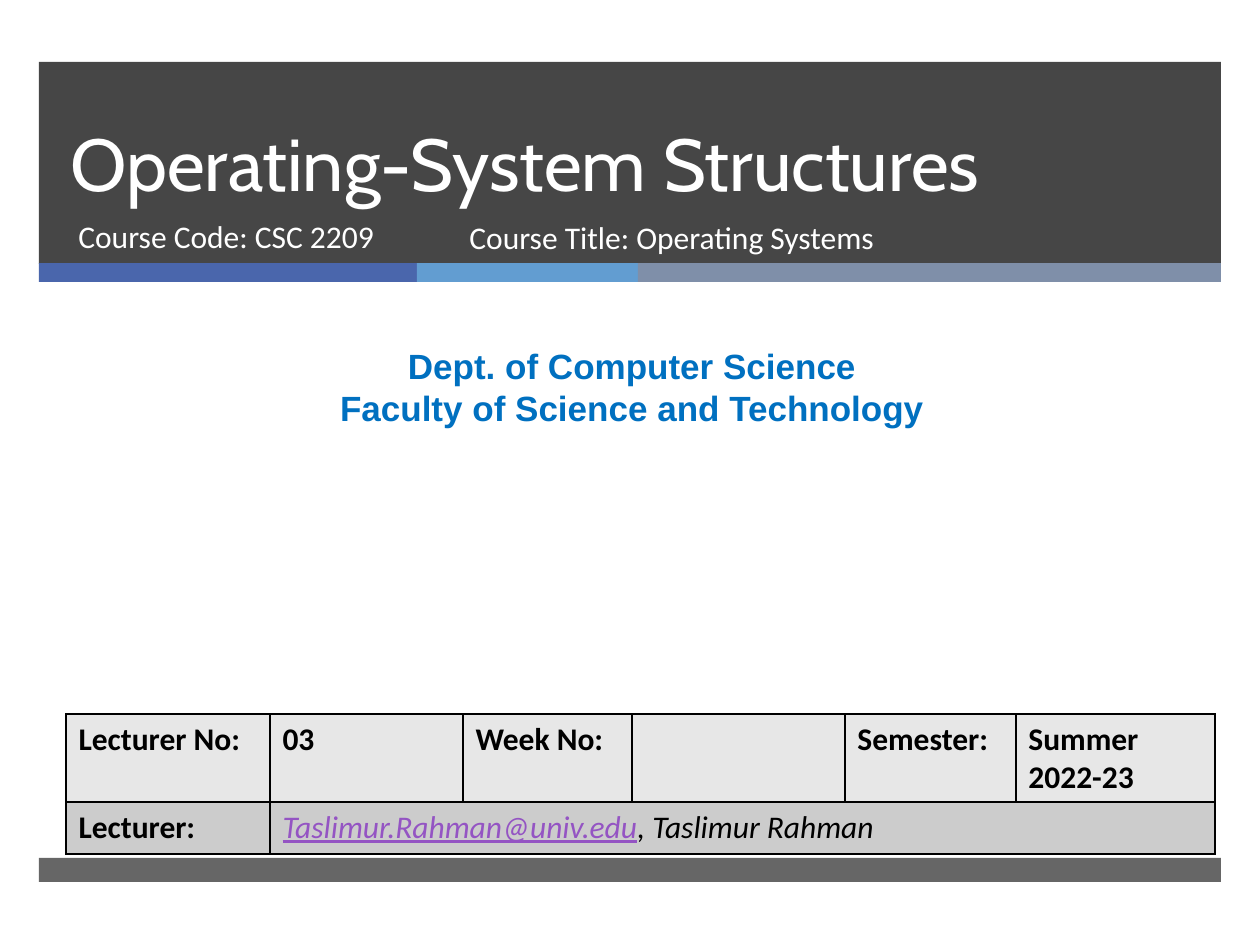
from lxml.etree import SubElement
from pptx import Presentation
from pptx.dml.color import RGBColor
from pptx.enum.shapes import MSO_SHAPE as Preset
from pptx.enum.text import MSO_ANCHOR as Anchor, PP_ALIGN as Align
from pptx.oxml.ns import qn
from pptx.util import Emu, Pt

EMU_PER_PX = 914400 / 126
COLORS = {
    "dark": "262626", "white": "FFFFFF", "black": "000000",
    "indigo": "4A66AC", "sky": "629DD1", "slate": "7F8FA9",
    "department": "0070C0", "email": "9454C3",
    "light row": "E7E7E7", "dark row": "CCCCCC",
}


def px(length):
    return Emu(round(length * EMU_PER_PX))


def color(name):
    return RGBColor.from_string(COLORS[name])


def add_text(paragraph, text, size=18, font="Calibri", ink="black", **flags):
    """Append a run; flags are font switches such as bold or italic."""
    run = paragraph.add_run()
    run.text = text
    run.font.size = Pt(size)
    run.font.name = font
    run.font.color.rgb = color(ink)
    for flag, value in flags.items():
        setattr(run.font, flag, value)


def outline_cell(cell):
    properties = cell._tc.get_or_add_tcPr()
    for index, side in enumerate(("a:lnL", "a:lnR", "a:lnT", "a:lnB")):
        line = properties.makeelement(qn(side), {"w": str(Pt(1))})
        fill = SubElement(line, qn("a:solidFill"))
        SubElement(fill, qn("a:srgbClr"), val=COLORS["black"])
        properties.insert(index, line)


class SlideBuilder:
    def __init__(self, slide):
        self.slide = slide

    def bar(self, left, top, width, height, fill, opacity=100):
        shape = self.slide.shapes.add_shape(
            Preset.RECTANGLE, px(left), px(top), px(width), px(height))
        shape.shadow.inherit = False
        shape.line.fill.background()
        shape.fill.solid()
        shape.fill.fore_color.rgb = color(fill)
        if opacity < 100:
            tint = shape._element.spPr.find(".//" + qn("a:srgbClr"))
            SubElement(tint, qn("a:alpha"), val=str(opacity * 1000))

    def text_box(self, left, top, width, height, lines, anchor=Anchor.TOP,
                 align=Align.LEFT, spacing=None, **style):
        shape = self.slide.shapes.add_textbox(
            px(left), px(top), px(width), px(height))
        frame = shape.text_frame
        frame.word_wrap = True
        frame.vertical_anchor = anchor
        for index, line in enumerate(lines):
            paragraph = frame.add_paragraph() if index else frame.paragraphs[0]
            paragraph.alignment = align
            paragraph.line_spacing = spacing
            add_text(paragraph, line, **style)

    def table(self, left, top, widths, heights, fills):
        """Add an empty bordered table with one fill per row."""
        table = self.slide.shapes.add_table(
            len(heights), len(widths), px(left), px(top),
            px(sum(widths)), px(sum(heights))).table
        for column, width in zip(table.columns, widths):
            column.width = px(width)
        for row, height, fill in zip(table.rows, heights, fills):
            row.height = px(height)
            for cell in row.cells:
                cell.fill.solid()
                cell.fill.fore_color.rgb = color(fill)
                outline_cell(cell)
        return table


def main():
    presentation = Presentation()
    presentation.slide_width, presentation.slide_height = px(1260), px(945)
    builder = SlideBuilder(
        presentation.slides.add_slide(presentation.slide_layouts[6]))

    builder.bar(39, 62, 1182, 202, "dark", opacity=85)
    left = 39
    for width, fill in ((378, "indigo"), (221, "sky"), (583, "slate")):
        builder.bar(left, 263, width, 19, fill)
        left += width
    builder.bar(39, 858, 1182, 24, "dark", opacity=70)

    builder.text_box(58, 62, 1076, 150, ["Operating-System Structures"],
                     anchor=Anchor.BOTTOM, spacing=Pt(46),
                     size=42, font="Cabin", ink="white")
    builder.text_box(66, 211, 384, 67, ["Course Code: CSC 2209"], ink="white")
    builder.text_box(457, 212, 573, 67, ["Course Title: Operating Systems"],
                     ink="white")
    builder.text_box(10, 338, 1244, 97,
                     ["Dept. of Computer Science",
                      "Faculty of Science and Technology"],
                     align=Align.CENTER, size=20, font="Arial",
                     ink="department", bold=True)

    table = builder.table(66, 714, (204, 193, 169, 213, 171, 199), (88, 52),
                          ("light row", "dark row"))
    table.cell(1, 1).merge(table.cell(1, 5))
    labels = (("Lecturer No:", "03", "Week No:", "", "Semester:",
               "Summer 2022-23"), ("Lecturer:",))
    for row, texts in enumerate(labels):
        for column, text in enumerate(texts):
            if text:
                paragraph = table.cell(row, column).text_frame.paragraphs[0]
                add_text(paragraph, text, bold=True)
    contact = table.cell(1, 1).text_frame.paragraphs[0]
    add_text(contact, "Taslimur.Rahman@univ.edu", ink="email", bold=False,
             italic=True, underline=True)
    add_text(contact, ", Taslimur Rahman", bold=False, italic=True)

    presentation.save("out.pptx")


if __name__ == "__main__":
    main()
